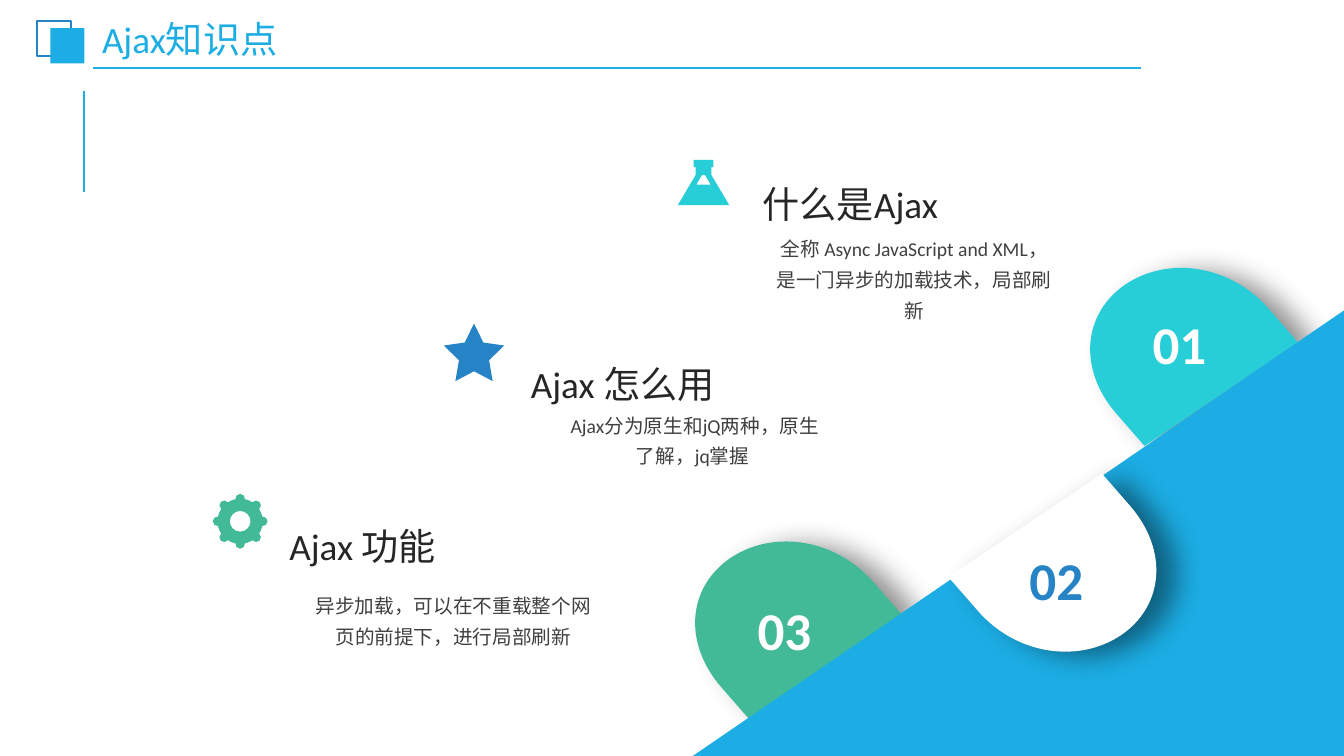
import math

from lxml import etree
from pptx import Presentation
from pptx import util as u
from pptx.dml.color import RGBColor
from pptx.enum import shapes, text
from pptx.oxml.ns import qn

COLORS = {
    "sky": "1CADE4", "blue": "2683C6", "cyan": "27CED7", "green": "42BA97",
    "white": "FFFFFF", "heading": "262626", "body": "404040", "black": "000000",
}
FONT = "Calibri"
WIDTH, HEIGHT = 33.85, 19.04

# Petal in cm from its top left corner; a segment has one point (line) or three (curve)
PETAL = [
    [(0, 3.09)], [(0.83, 3.82)],
    [(1.9, 4.78), (3.48, 4.85), (4.49, 3.98)],
    [(5.48, 3.1), (5.41, 1.7), (4.31, 0.72)],
    [(3.49, 0)],
]

TOPICS = [  # heading, its box, body, its box
    ("什么是Ajax", (18.96, 4.22, 8.36, 1.52),
     "全称 Async JavaScript and XML，是一门异步的加载技术，局部刷新", (19.19, 5.7, 7.67, 2.51)),
    ("Ajax 怎么用", (13.12, 8.76, 8.64, 1.52),
     " Ajax分为原生和jQ两种，原生了解，jq掌握", (13.95, 10.14, 6.99, 1.73)),
    ("Ajax 功能", (7.04, 12.82, 9.02, 1.52),
     "异步加载，可以在不重载整个网页的前提下，进行局部刷新", (7.7, 14.69, 7.44, 1.73)),
]


def rgb(name):
    return RGBColor.from_string(COLORS[name])


def paint(sp, fill=None, line=None, width=1.5):
    if fill:
        sp.fill.solid()
        sp.fill.fore_color.rgb = rgb(fill)
    else:
        sp.fill.background()
    if line:
        sp.line.color.rgb = rgb(line)
        sp.line.width = u.Pt(width)
    else:
        sp.line.fill.background()
    sp.shadow.inherit = False
    return sp


def add_preset(slide, kind, box, **colors):
    return paint(slide.shapes.add_shape(kind, *map(u.Cm, box)), **colors)


def add_outline(slide, contours, fill, left=0, top=0):
    """Draw closed contours, each a list of segments in cm, as one filled shape."""
    builder = None
    for contour in contours:
        points = [(u.Cm(left + x), u.Cm(top + y)) for seg in contour for x, y in seg]
        if builder is None:
            builder = slide.shapes.build_freeform(*points[0])
        else:
            builder.move_to(*points[0])
        builder.add_line_segments(points[1:])
    sp = builder.convert_to_shape()

    lines = iter(list(sp._element.iter(qn("a:lnTo"))))
    for seg in (s for contour in contours for s in contour[1:]):
        steps = [next(lines) for point in seg]
        if len(steps) == 3:
            curve = etree.Element(qn("a:cubicBezTo"))
            steps[0].addprevious(curve)
            for step in steps:
                curve.append(step[0])
                step.getparent().remove(step)
    return paint(sp, fill)


def add_line(slide, start, end, width):
    line = slide.shapes.add_connector(
        shapes.MSO_CONNECTOR.STRAIGHT, *map(u.Cm, start + end))
    line.line.color.rgb = rgb("sky")
    line.line.width = u.Pt(width)
    etree.SubElement(line._element.spPr, qn("a:effectLst"))


def add_text(slide, words, box, size, color, bold=False, align=text.PP_ALIGN.LEFT,
             spacing=1.0, anchor=text.MSO_ANCHOR.TOP, inset=(0.25, 0.13), grow=True,
             fill=None):
    if fill:
        sp = add_preset(slide, shapes.MSO_SHAPE.RECTANGLE, box, fill=fill)
    else:
        sp = slide.shapes.add_textbox(*map(u.Cm, box))
    tf = sp.text_frame
    tf.word_wrap = True
    fit = text.MSO_AUTO_SIZE
    tf.auto_size = fit.SHAPE_TO_FIT_TEXT if grow else fit.NONE
    tf.vertical_anchor = anchor
    tf.margin_left = tf.margin_right = u.Cm(inset[0])
    tf.margin_top = tf.margin_bottom = u.Cm(inset[1])
    p = tf.paragraphs[0]
    p.alignment = align
    p.line_spacing = spacing
    r = p.add_run()
    r.text = words
    r.font.name = FONT
    r.font.size = u.Pt(size)
    r.font.bold = bold
    r.font.color.rgb = rgb(color)


def add_petal(slide, left, top, rotation, fill):
    sp = add_outline(slide, [PETAL], fill, left, top)
    sp.rotation = rotation
    shadow = etree.SubElement(
        sp._element.spPr.find(qn("a:effectLst")), qn("a:outerShdw"),
        blurRad=str(u.Pt(20)), dist=str(u.Pt(15)), dir=str(12 * 60000),
        algn="ctr", rotWithShape="0")
    color = etree.SubElement(shadow, qn("a:srgbClr"), val=COLORS["black"])
    etree.SubElement(color, qn("a:alpha"), val="43000")


def add_flask(slide, cx, top, fill):
    half = [(0.25, 0), (0.25, 0.18), (0.2, 0.18), (0.2, 0.38), (0.65, 1.14)]
    window = [(0.04, 0.38), (0.18, 0.62)]
    add_outline(slide, [
        [[(x, y)] for x, y in side] + [[(-x, y)] for x, y in reversed(side)]
        for side in (half, window)], fill, cx, top)


def polar(center, radius, angle):
    return center[0] + radius * math.cos(angle), center[1] + radius * math.sin(angle)


def arc(center, radius, start, end):
    """Return the curve segment that follows a circle between two angles."""
    pull = radius * 4 / 3 * math.tan((end - start) / 4)
    first, last = polar(center, radius, start), polar(center, radius, end)
    return [polar(first, pull, start + math.pi / 2),
            polar(last, -pull, end + math.pi / 2), last]


def add_gear(slide, cx, cy, fill, teeth=8, body=0.57, tooth=0.12, hole=0.26):
    middle = (0, 0)
    step = math.tau / teeth
    half = 2 * math.asin(tooth / 2 / body)
    sweep = (math.pi + half) / 2
    rim = [[polar(middle, body, -half)]]
    for i in range(teeth):
        axis = i * step
        bump = polar(middle, body, axis)
        rim += [arc(bump, tooth, axis - sweep, axis),
                arc(bump, tooth, axis, axis + sweep),
                arc(middle, body, axis + half, axis + step - half)]
    quarter = math.pi / 2
    eye = [[(hole, 0)]] + [arc(middle, hole, i * quarter, (i + 1) * quarter)
                           for i in range(4)]
    add_outline(slide, [rim, eye], fill, cx, cy)


def add_title(slide):
    add_line(slide, (2.11, 4.83), (2.11, 2.29), 1.5)
    add_line(slide, (2.34, 1.72), (28.73, 1.72), 1.25)
    rect = shapes.MSO_SHAPE.RECTANGLE
    add_preset(slide, rect, (0.94, 0.53, 0.86, 0.89), line="blue")
    add_preset(slide, rect, (1.27, 0.71, 0.86, 0.89), fill="sky")
    add_text(slide, "Ajax知识点", (2.39, 0.58, 9.98, 0.94), 26.5, "sky", spacing=0.9,
             anchor=text.MSO_ANCHOR.MIDDLE, inset=(0.18, 0.1), grow=False)


def main():
    prs = Presentation()
    prs.slide_width, prs.slide_height = u.Cm(WIDTH), u.Cm(HEIGHT)
    slide = prs.slides.add_slide(prs.slide_layouts[6])
    add_title(slide)

    add_petal(slide, 27.15, 6.5, 187.6, "cyan")
    add_petal(slide, 17.2, 13.39, 187.6, "green")
    add_outline(slide, [[[(17.45, HEIGHT)], [(WIDTH, HEIGHT)], [(WIDTH, 7.82)]]], "sky")
    add_petal(slide, 23.95, 11.81, 7.6, "white")

    add_flask(slide, 17.72, 4.03, "cyan")
    star = add_preset(slide, shapes.MSO_SHAPE.STAR_5_POINT,
                      (11.18, 8.15, 1.52, 1.45), fill="blue")
    star.adjustments[0] = 0.25
    add_gear(slide, 6.05, 13.13, "green")

    for heading, heading_box, body, body_box in TOPICS:
        add_text(slide, body, body_box, 14, "body", spacing=1.3,
                 align=text.PP_ALIGN.CENTER, inset=(0.23, 0.1))
        add_text(slide, heading, heading_box, 26.5, "heading", spacing=1.2,
                 align=text.PP_ALIGN.JUSTIFY)

    for number, left, top, color, fill in [
            ("01", 28.78, 7.72, "white", None),
            ("02", 25.68, 13.67, "blue", "white"),
            ("03", 18.83, 14.91, "white", None)]:
        add_text(slide, number, (left, top, 2.26, 1.88), 37.9, color, bold=True, fill=fill)

    prs.save("out.pptx")


if __name__ == "__main__":
    main()
